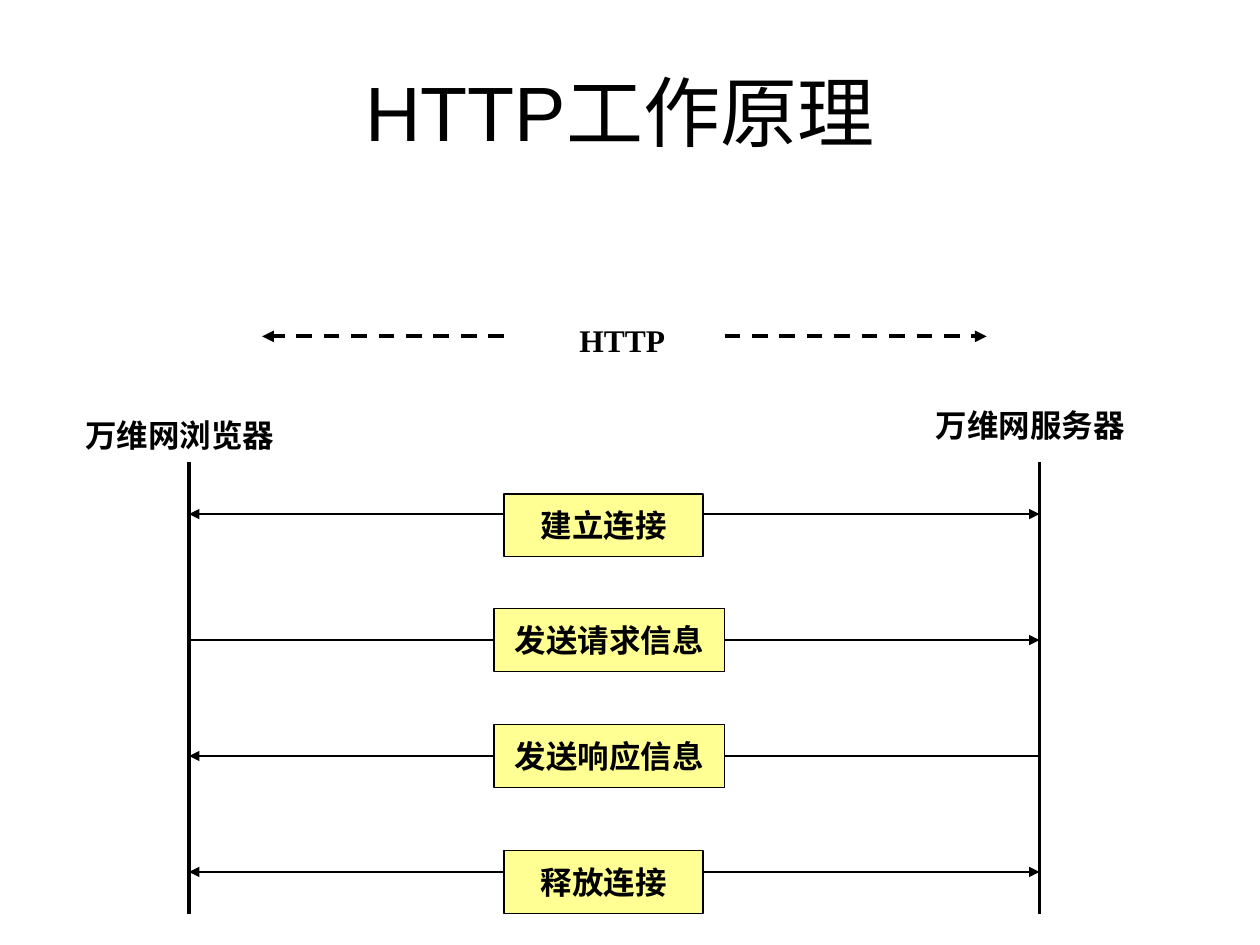
from lxml.etree import SubElement
from pptx import Presentation
from pptx.dml.color import RGBColor
from pptx.enum.dml import MSO_LINE_DASH_STYLE as Dash
from pptx.enum.shapes import MSO_CONNECTOR as Connector, MSO_SHAPE as Shape
from pptx.enum.text import MSO_ANCHOR as Anchor, PP_ALIGN as Align
from pptx.oxml.ns import qn
from pptx.util import Inches, Pt

BLACK = "000000"
YELLOW = "FFFF93"
BROWSER_X, SERVER_X = 1.5, 8.25
LEFT_SIDE, RIGHT_SIDE = 1, 3
BOX_HEIGHT = 0.5


def color(value):
    return RGBColor.from_string(value)


def write_text(shape, text, size=18, font="Arial", bold=True, align=Align.LEFT,
               anchor=Anchor.TOP, wrap=True):
    frame = shape.text_frame
    frame.word_wrap = wrap
    frame.vertical_anchor = anchor
    paragraph = frame.paragraphs[0]
    paragraph.alignment = align
    run = paragraph.add_run()
    run.text = text
    run.font.name = font
    run.font.size = Pt(size)
    run.font.bold = bold
    run.font.color.rgb = color(BLACK)


def add_title(slide, text):
    title = slide.shapes.title
    title.left, title.top = Inches(0.42), Inches(0.25)
    title.width, title.height = Inches(9), Inches(1.25)
    write_text(title, text, size=44, bold=False, align=Align.CENTER, anchor=Anchor.MIDDLE)


def add_label(slide, text, left, top, width, font="Arial"):
    label = slide.shapes.add_textbox(Inches(left), Inches(top), Inches(width), Inches(0.4))
    write_text(label, text, font=font)


def add_line(slide, start, end, width, arrow=False, dash=None):
    line = slide.shapes.add_connector(
        Connector.STRAIGHT, *(Inches(value) for value in (*start, *end)))
    line.line.color.rgb = color(BLACK)
    line.line.width = Pt(width)
    if dash:
        line.line.dash_style = dash
    if arrow:
        SubElement(line.line._get_or_add_ln(), qn("a:tailEnd"), type="triangle")
    SubElement(line._element.spPr, qn("a:effectLst"))
    return line


def add_box(slide, text, left, top, width):
    box = slide.shapes.add_shape(
        Shape.RECTANGLE, Inches(left), Inches(top), Inches(width), Inches(BOX_HEIGHT))
    box.shadow.inherit = False
    box.fill.solid()
    box.fill.fore_color.rgb = color(YELLOW)
    box.line.color.rgb = color(BLACK)
    box.line.width = Pt(0.75)
    write_text(box, text, align=Align.CENTER, anchor=Anchor.MIDDLE, wrap=False)
    return box


def add_step(slide, text, left, top, width, line_y, to_browser, to_server):
    box = add_box(slide, text, left, top, width)
    sides = (
        (left, BROWSER_X, to_browser, LEFT_SIDE),
        (left + width, SERVER_X, to_server, RIGHT_SIDE),
    )
    for box_x, end_x, arrow, side in sides:
        line = add_line(slide, (box_x, line_y), (end_x, line_y), 1.5, arrow)
        if line_y == top + BOX_HEIGHT / 2:
            line.begin_connect(box, side)


def main():
    presentation = Presentation()
    presentation.slide_width, presentation.slide_height = Inches(10), Inches(7.5)
    slide = presentation.slides.add_slide(presentation.slide_layouts[5])

    add_title(slide, "HTTP工作原理")
    add_label(slide, "HTTP", 4.5, 2.5, 1, font="Times New Roman")
    for start_x, end_x in ((4, 2.08), (5.75, 7.83)):
        add_line(slide, (start_x, 2.67), (end_x, 2.67), 2.25, arrow=True, dash=Dash.DASH)

    add_label(slide, "万维网浏览器", 0.58, 3.25, 1.92)
    add_label(slide, "万维网服务器", 7.33, 3.17, 1.92)
    for x in (BROWSER_X, SERVER_X):
        add_line(slide, (x, 3.67), (x, 7.25), 2.25)

    steps = (
        ("建立连接", 4, 3.92, 1.58, 4.08, True, True),
        ("发送请求信息", 3.92, 4.83, 1.83, 5.08, False, True),
        ("发送响应信息", 3.92, 5.75, 1.83, 6, True, False),
        ("释放连接", 4, 6.75, 1.58, 6.92, True, True),
    )
    for step in steps:
        add_step(slide, *step)

    presentation.save("out.pptx")


if __name__ == "__main__":
    main()
